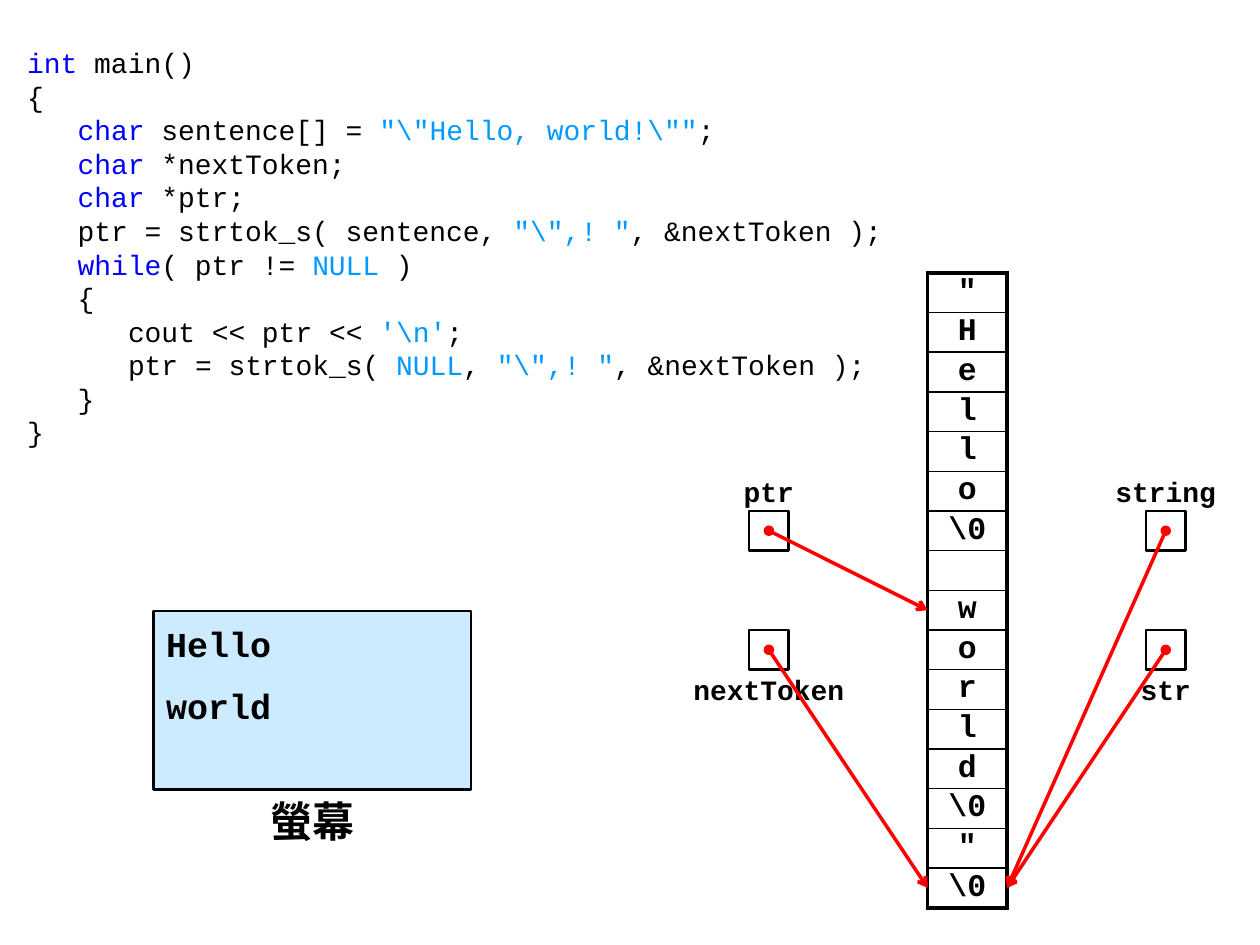
"""Build the slide that traces strtok_s over a string in memory."""
from lxml import etree
from pptx import Presentation, util as u
from pptx.dml.color import RGBColor
from pptx.enum import shapes, text
from pptx.oxml.ns import qn

FONT = "Courier New"
HUE = {"ink": "000000", "key": "0000FF", "lit": "0099FF",
       "pane": "CCEBFF", "link": "FF0000", "page": "FFFFFF"}

CODE = [
    (0, [("int", "key"), (" main()", "ink")]),
    (0, [("{", "ink")]),
    (1, [("char", "key"), (" sentence[] = ", "ink"),
         (r'"\"Hello, world!\""', "lit"), (";", "ink")]),
    (1, [("char", "key"), (" *nextToken;", "ink")]),
    (1, [("char", "key"), (" *ptr;", "ink")]),
    (1, [("ptr = strtok_s( sentence, ", "ink"), (r'"\",! "', "lit"),
         (", &nextToken );", "ink")]),
    (1, [("while", "key"), ("( ptr != ", "ink"), ("NULL", "lit"), (" )", "ink")]),
    (1, [("{", "ink")]),
    (2, [("cout << ptr << ", "ink"), (r"'\n'", "lit"), (";", "ink")]),
    (2, [("ptr = strtok_s( ", "ink"), ("NULL", "lit"), (", ", "ink"),
         (r'"\",! "', "lit"), (", &nextToken );", "ink")]),
    (1, [("}", "ink")]),
    (0, [("}", "ink")]),
]
CHARS = ['"', *"Hello", r"\0", "", *"world", r"\0", '"', r"\0"]
OUTPUT = ["Hello", "world"]

UNIT = 0.8
LEFT, TOP = 18.7, 5.5
HIGH, LOW = 10.7, 13.1
WEST, EAST = 15.5, 23.5
# name, label width, centre x, centre y, label top, target row
POINTERS = [
    ("str", 1.6, EAST, LOW, 13.5, 15),
    ("nextToken", 4, WEST, LOW, 13.5, 15),
    ("string", 2.4, EAST, HIGH, 9.5, 15),
    ("ptr", 1.6, WEST, HIGH, 9.5, 8),
]


def rgb(key):
    return RGBColor.from_string(HUE[key])


def write(par, words, size, key="ink", bold=True):
    run = par.add_run()
    run.text = words
    run.font.name, run.font.size, run.font.bold = FONT, u.Pt(size), bold
    run.font.color.rgb = rgb(key)


def label(page, words, box, size, pad=None):
    frame = page.shapes.add_textbox(*map(u.Cm, box)).text_frame
    frame.word_wrap = True
    if pad is not None:
        frame.margin_left = frame.margin_right = u.Cm(pad)
        frame.margin_top = frame.margin_bottom = 0
        frame.vertical_anchor = text.MSO_ANCHOR.MIDDLE
    par = frame.paragraphs[0]
    par.alignment = text.PP_ALIGN.CENTER
    write(par, words, size)


def block(page, box, fill=None):
    rect = page.shapes.add_shape(shapes.MSO_SHAPE.RECTANGLE, *map(u.Cm, box))
    rect.shadow.inherit = False
    if fill:
        rect.fill.solid()
        rect.fill.fore_color.rgb = rgb(fill)
    else:
        rect.fill.background()
    rect.line.color.rgb = rgb("ink")
    rect.line.width = u.Pt(1.5)
    return rect


def listing(page):
    frame = page.shapes.add_textbox(*map(u.Cm, (0.3, 0.7, 18, 8.4))).text_frame
    frame.word_wrap = False
    frame.margin_top = u.Cm(0.22)
    for num, (level, runs) in enumerate(CODE):
        par = frame.add_paragraph() if num else frame.paragraphs[0]
        par.line_spacing = u.Pt(19.2)
        par._p.get_or_add_pPr().set("marL", str(u.Pt(28.8) * level))
        for words, key in runs:
            write(par, words, 16, key, False)


def screen(page):
    frame = block(page, (3.1, 12.32, 6.4, 3.6), "pane").text_frame
    frame.vertical_anchor = text.MSO_ANCHOR.TOP
    frame.margin_top = u.Cm(0.23)
    for num, words in enumerate(OUTPUT):
        par = frame.add_paragraph() if num else frame.paragraphs[0]
        par.alignment = text.PP_ALIGN.LEFT
        par.space_before = u.Pt(11.5 if num else 0)
        write(par, words, 20)
    label(page, "螢幕", (5.1, 15.92, 2.4, 1.2), 24)


def edge(cell, widths):
    props = cell._tc.get_or_add_tcPr()
    for num, (side, width) in enumerate(widths.items()):
        line = etree.Element(qn("a:ln" + side), w=str(u.Pt(width)))
        fill = etree.SubElement(line, qn("a:solidFill"))
        etree.SubElement(fill, qn("a:srgbClr"), val=HUE["ink"])
        props.insert(num, line)


def memory(page):
    count = len(CHARS)
    box = (LEFT, TOP, 2 * UNIT, count * UNIT)
    grid = page.shapes.add_table(count, 1, *map(u.Cm, box)).table
    grid.first_row = grid.horz_banding = False
    for num, char in enumerate(CHARS):
        grid.rows[num].height = u.Cm(UNIT)
        cell = grid.cell(num, 0)
        cell.fill.background()
        cell.margin_top = cell.margin_bottom = 0
        cell.vertical_anchor = text.MSO_ANCHOR.MIDDLE
        edge(cell, {"L": 2.25, "R": 2.25, "T": 1 if num else 2.25,
                    "B": 1 if num < count - 1 else 2.25})
        par = cell.text_frame.paragraphs[0]
        par.alignment = text.PP_ALIGN.CENTER
        if char:
            write(par, char, 18)


def arrow(page, x, y, row):
    end = LEFT if x < LEFT else LEFT + 2 * UNIT
    ends = (x, y, end, TOP + (row + 0.5) * UNIT)
    link = page.shapes.add_connector(shapes.MSO_CONNECTOR.STRAIGHT, *map(u.Cm, ends))
    link.line.color.rgb = rgb("link")
    link.line.width = u.Pt(2)
    line = link.line._get_or_add_ln()
    etree.SubElement(line, qn("a:headEnd"), type="oval")
    etree.SubElement(line, qn("a:tailEnd"), type="arrow")
    etree.SubElement(link._element.spPr, qn("a:effectLst"))


def main():
    deck = Presentation()
    deck.slide_width, deck.slide_height = u.Cm(25.4), u.Cm(19.05)
    page = deck.slides.add_slide(deck.slide_layouts[6])
    listing(page)
    screen(page)
    memory(page)
    for name, width, x, y, top, row in POINTERS:
        label(page, name, (x - width / 2, top, width, UNIT), 16, 0.1)
        block(page, (x - UNIT / 2, y - UNIT / 2, UNIT, UNIT))
    for name, width, x, y, top, row in POINTERS:
        arrow(page, x, y, row)
    deck.save("out.pptx")


if __name__ == "__main__":
    main()
